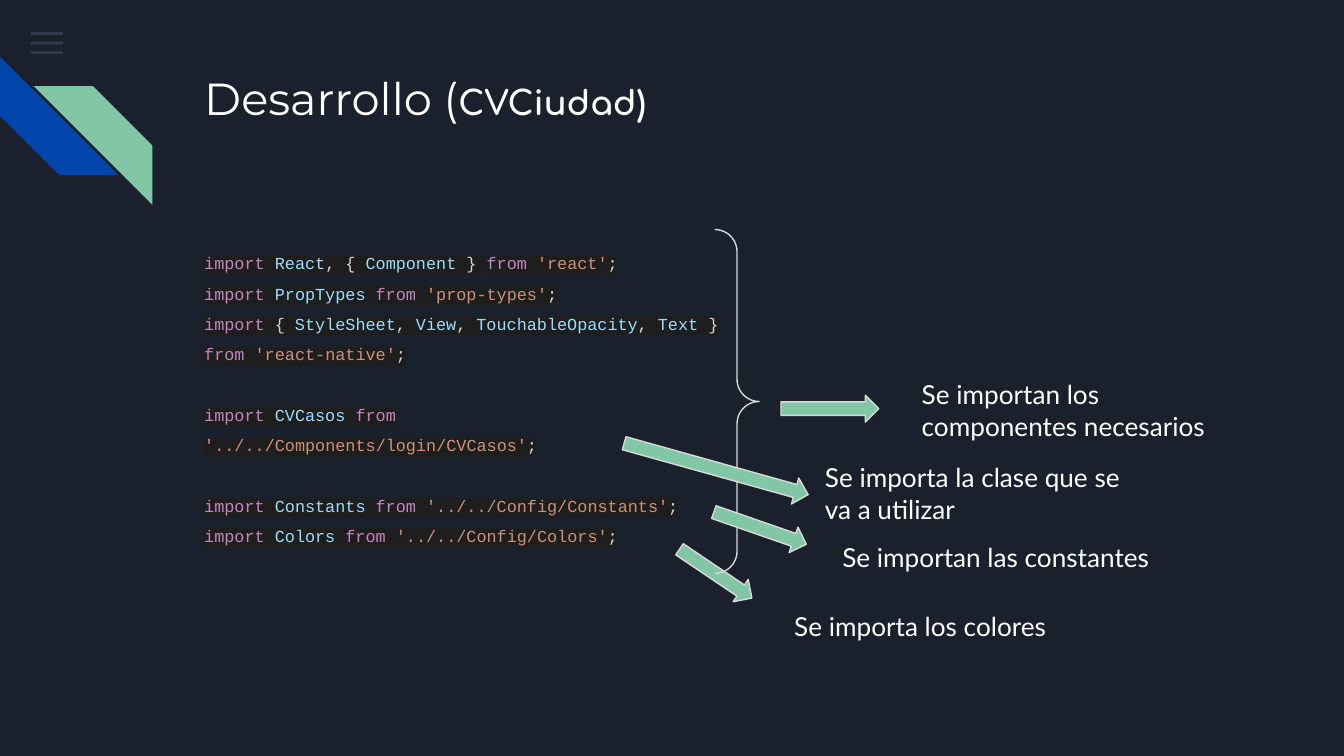
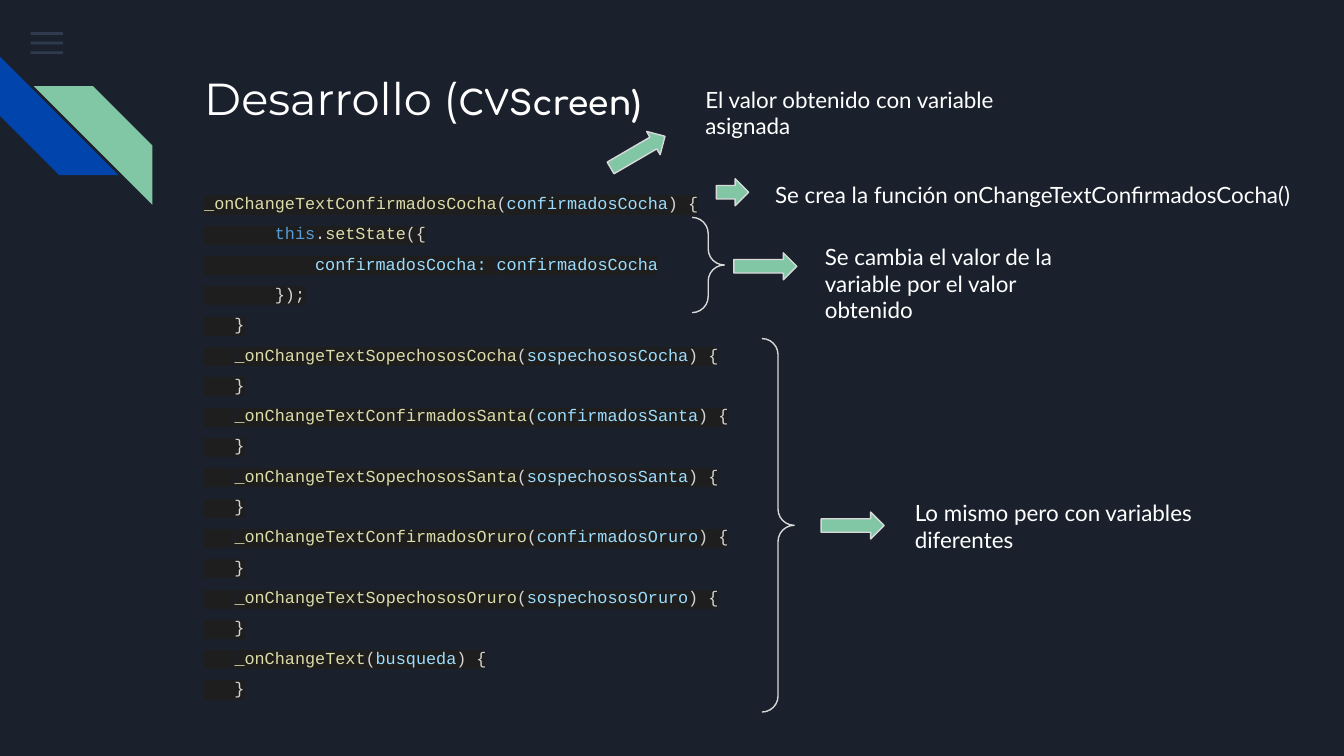
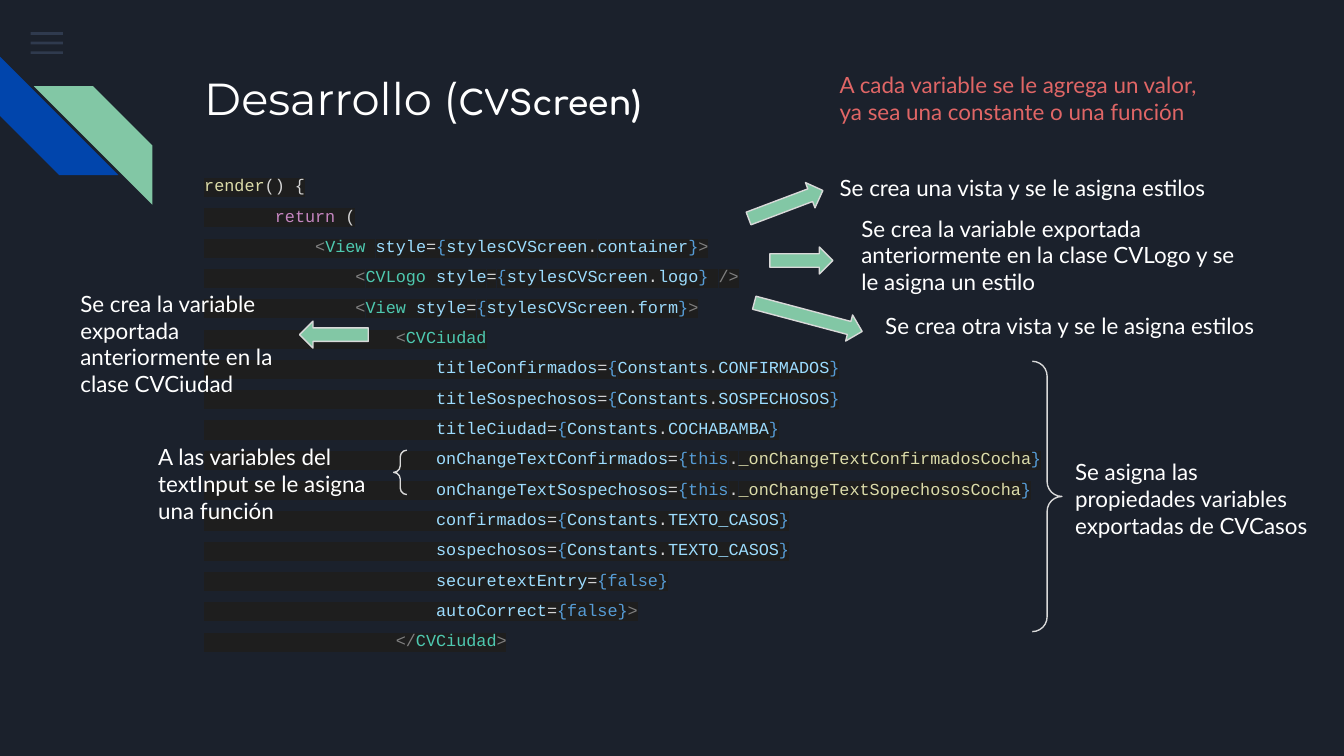
from lxml import etree
from pptx import Presentation
from pptx import util as u
from pptx.dml.color import RGBColor
from pptx.enum import shapes, text
from pptx.oxml.ns import qn

COLORS = {
    "back": "1B212C", "menu": "55688B", "blue": "0145AC", "green": "82C7A5",
    "line": "D9D9D9", "white": "FFFFFF", "red": "E06666", "code_back": "1E1E1E",
}
CODE_COLORS = {
    "k": "C586C0", "w": "D4D4D4", "v": "9CDCFE", "s": "CE9178",
    "f": "DCDCAA", "b": "569CD6", "t": "4EC9B0", "g": "808080",
}
MARK = "~"
SHAPE = shapes.MSO_SHAPE


def rgb(value):
    return RGBColor.from_string(value)


def add_run(p, content, font="Lato", size=12, color=COLORS["white"], bold=False, highlight=None):
    r = p.add_run()
    r.text = content
    r.font.size = u.Pt(size)
    r.font.bold = bold
    r.font.color.rgb = rgb(color)
    r.font.name = font
    if highlight:
        mark = etree.Element(qn("a:highlight"))
        etree.SubElement(mark, qn("a:srgbClr")).set("val", highlight)
        r.font._element.find(qn("a:solidFill")).addnext(mark)


def import_line(name, source):
    return f"~kimport~w ~v{name}~w ~kfrom~w ~s'{source}'~w;"


def method_line(name, arg, indent=3):
    return f"~w{' ' * indent}~f{name}~w(~v{arg}~w) {{"


def view_line(indent, tag, style, end="~g>"):
    return (f"~w{' ' * indent}~g<~t{tag}~w ~vstyle~w=~b{{"
            f"~vstylesCVScreen~w.~v{style}~b}}{end}")


def prop_line(name, value, end=""):
    return f"~w{' ' * 23}~v{name}~w=~b{{{value}~b}}{end}"


def constant(name):
    return f"~vConstants~w.~v{name}"


def handler(name):
    return f"this~w.~f{name}"


class Deck:
    def __init__(self):
        self.prs = Presentation()
        self.prs.slide_width, self.prs.slide_height = u.Cm(25.4), u.Cm(14.29)
        self.layout = self.prs.slide_layouts[1]
        fill = self.prs.slide_master.background.fill
        fill.solid()
        fill.fore_color.rgb = rgb(COLORS["back"])
        self.s = None

    def new_slide(self, name, title_height=2.54):
        first = self.s is None
        self.s = self.prs.slides.add_slide(self.layout)
        if first:
            self.frame()
        tf = self.place(self.s.shapes.title, 3.61, 1.09, 19.56, title_height)
        p = tf.paragraphs[0]
        p.alignment = text.PP_ALIGN.LEFT
        add_run(p, "Desarrollo (", font="Montserrat", size=24)
        add_run(p, f"{name})", font="Comfortaa", size=18, bold=True)

    def frame(self):
        bars = [self.shape(SHAPE.RECTANGLE, 0.58, 0.61 + 0.18 * i, 0.61, 0.05, fill="menu")
                for i in range(3)]
        for bar in bars:
            clr = bar.element.spPr.find(qn("a:solidFill"))[0]
            etree.SubElement(clr, qn("a:alpha")).set("val", "36000")
        blue = self.shape(SHAPE.DIAGONAL_STRIPE, 0, 1.07, 2.24, 2.24, fill="blue", rotation=270)
        green = self.shape(SHAPE.DIAGONAL_STRIPE, 0.64, 1.63, 2.24, 2.24, fill="green")
        green.element.spPr.find(qn("a:xfrm")).set("flipH", "1")
        for sp in (*bars, blue, green):
            self.layout.shapes.element.append(sp.element)

    def place(self, sp, x, y, w, h):
        sp.left, sp.top, sp.width, sp.height = (u.Cm(n) for n in (x, y, w, h))
        tf = sp.text_frame
        tf.word_wrap = True
        tf.auto_size = text.MSO_AUTO_SIZE.NONE
        tf.vertical_anchor = text.MSO_ANCHOR.TOP
        tf.margin_left = tf.margin_right = tf.margin_top = tf.margin_bottom = u.Cm(0.25)
        return tf

    def shape(self, kind, x, y, w, h, fill=None, line=None, rotation=0, adjust=()):
        sp = self.s.shapes.add_shape(kind, u.Cm(x), u.Cm(y), u.Cm(w), u.Cm(h))
        sp.shadow.inherit = False
        sp.rotation = rotation
        for i, value in enumerate(adjust):
            sp.adjustments[i] = value
        if fill:
            sp.fill.solid()
            sp.fill.fore_color.rgb = rgb(COLORS[fill])
        else:
            sp.fill.background()
        if line:
            sp.line.color.rgb = rgb(COLORS[line])
            sp.line.width = u.Pt(0.75)
        else:
            sp.line.fill.background()
        return sp

    def arrow(self, x, y, w, rotation=0):
        self.shape(SHAPE.RIGHT_ARROW, x, y, w, 0.51, "green", "line", rotation, (0.5, 0.5))

    def brace(self, x, y, w, h, kind=SHAPE.RIGHT_BRACE):
        self.shape(kind, x, y, w, h, line="line", adjust=(0.5, 0.5))

    def note(self, content, x, y, w, h, size=12, color="white"):
        sp = self.s.shapes.add_textbox(0, 0, 0, 0)
        tf = self.place(sp, x, y, w, h)
        add_run(tf.paragraphs[0], content, size=size, color=COLORS[color])

    def code(self, lines, x, y, w, h, gaps_before=()):
        tf = self.place(self.s.placeholders[1], x, y, w, h)
        for i, line in enumerate(lines):
            p = tf.add_paragraph() if i else tf.paragraphs[0]
            pPr = p._p.get_or_add_pPr()
            pPr.set("marL", "0")
            pPr.set("indent", "0")
            etree.SubElement(pPr, qn("a:buNone"))
            p.line_spacing = 1.5
            p.space_before = u.Pt(16.2 if i in gaps_before else 0)
            p.space_after = u.Pt(0)
            for token in filter(None, line.split(MARK)):
                add_run(p, token[1:], font="Courier New", size=9,
                        color=CODE_COLORS[token[0]], highlight=COLORS["code_back"])


def imports_slide(deck):
    deck.new_slide("CVCiudad")
    deck.code([
        "~kimport~w ~vReact~w, { ~vComponent~w } ~kfrom~w ~s'react'~w;",
        import_line("PropTypes", "prop-types"),
        "~kimport~w { ~vStyleSheet~w, ~vView~w, ~vTouchableOpacity~w, ~vText~w } "
        "~kfrom~w ~s'react-native'~w;",
        import_line("CVCasos", "../../Components/login/CVCasos"),
        import_line("Constants", "../../Config/Constants"),
        import_line("Colors", "../../Config/Colors"),
    ], 3.61, 4.34, 10.57, 8.08, gaps_before=(3, 4))
    deck.arrow(12.7, 10.59, 1.65, 34)
    deck.arrow(14.76, 7.47, 1.85)
    deck.brace(13.51, 4.34, 0.84, 6.5)
    deck.arrow(11.73, 8.61, 3.61, 15.6)
    deck.arrow(13.44, 9.73, 1.85, 19.2)
    for content, *box in (
        ("Se importan los componentes necesarios", 17.17, 6.91, 6.58, 1.65),
        ("Se importa los colores", 14.76, 11.28, 5.61, 1.12),
        ("Se importa la clase que se va a utilizar", 15.34, 8.48, 6.58, 1.35),
        ("Se importan las constantes", 15.67, 9.98, 6.58, 1.12),
    ):
        deck.note(content, *box, size=14)


def handlers_slide(deck):
    deck.new_slide("CVScreen")
    close = "~w   }"
    lines = [
        method_line("_onChangeTextConfirmadosCocha", "confirmadosCocha", indent=0),
        "~w       ~bthis~w.~fsetState~w({",
        "~w           ~vconfirmadosCocha:~w ~vconfirmadosCocha",
        "~w       });",
        close,
    ]
    for case, city in (("Sopechosos", "Cocha"), ("Confirmados", "Santa"), ("Sopechosos", "Santa"),
                       ("Confirmados", "Oruro"), ("Sopechosos", "Oruro")):
        arg = {"Sopechosos": "sospechosos", "Confirmados": "confirmados"}[case]
        lines += [method_line(f"_onChangeText{case}{city}", f"{arg}{city}"), close]
    lines += [method_line("_onChangeText", "busqueda"), close]
    deck.code(lines, 3.61, 3.2, 11.46, 10.26)
    deck.arrow(13.54, 3.38, 0.61)
    deck.arrow(13.87, 4.78, 1.19)
    deck.arrow(15.52, 9.68, 1.19)
    deck.arrow(11.46, 2.62, 1.19, 329.8)
    deck.brace(13.08, 4.11, 0.61, 1.8)
    deck.brace(14.4, 6.4, 0.61, 7.06)
    for content, *box in (
        ("Se cambia el valor de la variable por el valor obtenido", 15.34, 4.34, 5.84, 1.8),
        ("Se crea la función onChangeTextConfirmadosCocha()", 14.4, 3.18, 10.34, 0.94),
        ("Lo mismo pero con variables diferentes", 17.04, 9.19, 5.84, 1.5),
        ("El valor obtenido con variable asignada", 13.08, 1.37, 6.88, 1.5),
    ):
        deck.note(content, *box)


def render_slide(deck):
    deck.new_slide("CVScreen", title_height=1.65)
    deck.code([
        "~frender~w() {",
        "~w       ~kreturn~w (",
        view_line(11, "View", "container"),
        view_line(15, "CVLogo", "logo", end="~w ~g/>"),
        view_line(15, "View", "form"),
        f"~w{' ' * 19}~g<~tCVCiudad",
        prop_line("titleConfirmados", constant("CONFIRMADOS")),
        prop_line("titleSospechosos", constant("SOSPECHOSOS")),
        prop_line("titleCiudad", constant("COCHABAMBA")),
        prop_line("onChangeTextConfirmados", handler("_onChangeTextConfirmadosCocha")),
        prop_line("onChangeTextSospechosos", handler("_onChangeTextSopechososCocha")),
        prop_line("confirmados", constant("TEXTO_CASOS")),
        prop_line("sospechosos", constant("TEXTO_CASOS")),
        prop_line("securetextEntry", "false"),
        prop_line("autoCorrect", "false", end="~g>"),
        f"~w{' ' * 19}~g</~tCVCiudad~g>",
    ], 3.61, 2.87, 16.46, 10.39)
    deck.arrow(14.1, 3.61, 1.5, 339.3)
    deck.arrow(14.55, 4.67, 1.19)
    deck.arrow(14.22, 5.74, 2.11, 14.9)
    deck.arrow(5.66, 6.07, 1.3, 180)
    deck.brace(19.51, 6.83, 0.56, 5.11)
    deck.brace(7.44, 8.51, 0.25, 0.84, SHAPE.LEFT_BRACE)
    for content, *box in (
        ("Se crea una vista y se le asigna estilos", 15.62, 3.05, 7.7, 1.07),
        ("Se crea la variable exportada anteriormente en la clase CVLogo y se le asigna un estilo",
         16.03, 3.81, 7.7, 1.96),
        ("Se crea la variable exportada anteriormente en la clase CVCiudad",
         1.27, 5.23, 4.72, 2.24),
        ("Se asigna las propiedades variables exportadas de CVCasos", 20.07, 8.41, 4.98, 1.96),
        ("Se crea otra vista y se le asigna estilos", 16.48, 5.66, 7.7, 1.07),
        ("A las variables del textInput se le asigna una función", 2.74, 8.13, 4.72, 1.65),
    ):
        deck.note(content, *box)
    deck.note("A cada variable se le agrega un valor, ya sea una constante o una función",
              15.62, 1.09, 7.7, 1.65, color="red")


def main():
    deck = Deck()
    imports_slide(deck)
    handlers_slide(deck)
    render_slide(deck)
    deck.prs.save("out.pptx")


if __name__ == "__main__":
    main()
